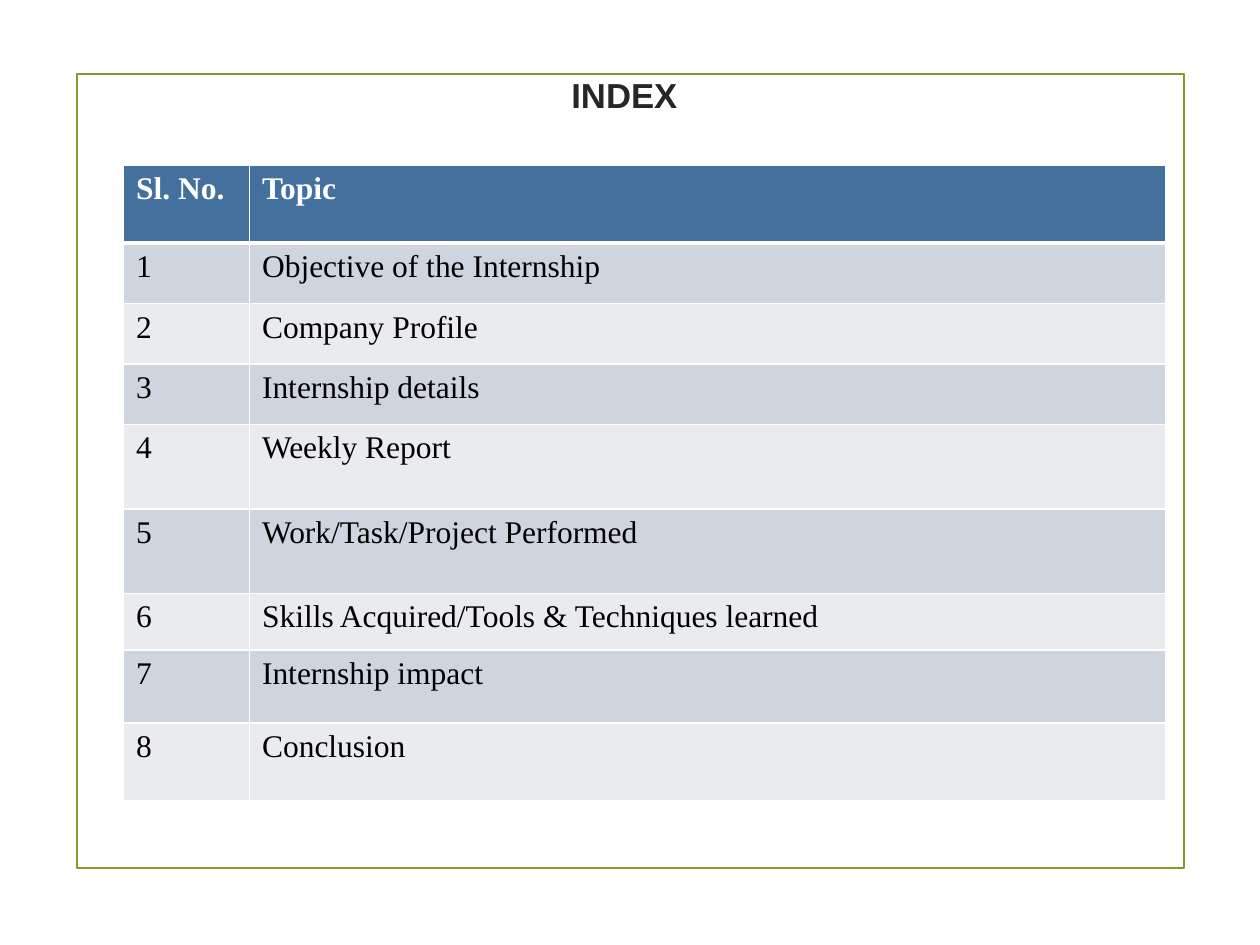
"""Build the index slide of an internship report."""
import dataclasses
import typing

import lxml.etree
import pptx
import pptx.dml.color
import pptx.enum.shapes
import pptx.enum.text
import pptx.oxml.ns
import pptx.util

WIDTH = pptx.util.Inches(10)
HEIGHT = pptx.util.Inches(7.5)


@dataclasses.dataclass(frozen=True)
class Theme:
    """Colours, fonts and sizes of the slide."""
    frame: str = "83992A"
    title: str = "262626"
    header: str = "44709D"
    header_text: str = "FFFFFF"
    body_text: str = "000000"
    border: str = "FFFFFF"
    bands: tuple[str, str] = ("CFD5DF", "E9EBEF")
    title_font: str = "Arial"
    table_font: str = "Times New Roman"
    title_size: float = 19.8
    table_size: float = 18
    frame_width: float = 1.25
    border_width: float = 1
    header_rule: float = 3


@dataclasses.dataclass(frozen=True)
class Box:
    """A rectangle given in shares of the slide's width and height."""
    left: float
    top: float
    width: float
    height: float

    def lengths(self) -> tuple[int, int, int, int]:
        """Return left, top, width and height in EMU."""
        return (round(self.left * WIDTH), round(self.top * HEIGHT),
                round(self.width * WIDTH), round(self.height * HEIGHT))


@dataclasses.dataclass(frozen=True)
class Entry:
    """A table row: its two texts and its height in inches."""
    number: str
    topic: str
    height: float


THEME = Theme()
FRAME = Box(0.061, 0.59 / 7.5, 0.879, 0.84)
TITLE = Box(0.098, 0.04, 0.795, 0.85 / 7.5)
TABLE = Box(0.098, 1.31 / 7.5, 0.827, 5.06 / 7.5)
COLUMNS = (1, 7.27)
ENTRIES = (
    Entry("Sl. No.", "Topic", 0.62),
    Entry("1", "Objective of the Internship", 0.48),
    Entry("2", "Company Profile", 0.48),
    Entry("3", "Internship details", 0.48),
    Entry("4", "Weekly Report", 0.67),
    Entry("5", "Work/Task/Project Performed", 0.67),
    Entry("6", "Skills Acquired/Tools & Techniques learned", 0.45),
    Entry("7", "Internship impact", 0.58),
    Entry("8", "Conclusion", 0.62),
)


def rgb(color: str) -> pptx.dml.color.RGBColor:
    """Turn a hexadecimal colour into an RGBColor."""
    return pptx.dml.color.RGBColor.from_string(color)


def write_text(text_frame: typing.Any, text: str, *, font: str, size: float,
               color: str, bold: bool = False,
               align: pptx.enum.text.PP_ALIGN = pptx.enum.text.PP_ALIGN.LEFT) -> None:
    """Write one formatted paragraph into a text frame."""
    paragraph = text_frame.paragraphs[0]
    paragraph.alignment = align
    run = paragraph.add_run()
    run.text = text
    run.font.name = font
    run.font.size = pptx.util.Pt(size)
    run.font.color.rgb = rgb(color)
    run.font.bold = bold


def draw_frame(slide: typing.Any, box: Box) -> None:
    """Draw the outlined border of the slide."""
    shape = slide.shapes.add_shape(
        pptx.enum.shapes.MSO_SHAPE.RECTANGLE, *box.lengths())
    shape.shadow.inherit = False
    shape.fill.background()
    shape.line.color.rgb = rgb(THEME.frame)
    shape.line.width = pptx.util.Pt(THEME.frame_width)


def draw_title(slide: typing.Any, text: str, box: Box) -> None:
    """Place and format the title placeholder."""
    title = slide.shapes.title
    title.left, title.top, title.width, title.height = box.lengths()
    text_frame = title.text_frame
    text_frame.vertical_anchor = pptx.enum.text.MSO_ANCHOR.MIDDLE
    text_frame.margin_top = pptx.util.Inches(0.1)
    text_frame.margin_bottom = pptx.util.Inches(0.04)
    write_text(text_frame, text, font=THEME.title_font, size=THEME.title_size,
               color=THEME.title, bold=True, align=pptx.enum.text.PP_ALIGN.CENTER)


def set_borders(cell: typing.Any, top: float, bottom: float) -> None:
    """Give a cell its four borders, with top and bottom widths in points."""
    properties = cell._tc.get_or_add_tcPr()
    qn = pptx.oxml.ns.qn
    widths = {"L": THEME.border_width, "R": THEME.border_width,
              "T": top, "B": bottom}
    for side, width in widths.items():
        line = lxml.etree.SubElement(
            properties, qn(f"a:ln{side}"), w=str(pptx.util.Pt(width)))
        fill = lxml.etree.SubElement(line, qn("a:solidFill"))
        lxml.etree.SubElement(fill, qn("a:srgbClr"), val=THEME.border)


def draw_table(slide: typing.Any, entries: tuple[Entry, ...], box: Box) -> None:
    """Draw the table with its header and banded rows."""
    table = slide.shapes.add_table(
        len(entries), len(COLUMNS), *box.lengths()).table
    for column, width in zip(table.columns, COLUMNS):
        column.width = pptx.util.Inches(width)
    for index, entry in enumerate(entries):
        header = index == 0
        table.rows[index].height = pptx.util.Inches(entry.height)
        fill = THEME.header if header else THEME.bands[(index - 1) % 2]
        color = THEME.header_text if header else THEME.body_text
        top = THEME.header_rule if index == 1 else THEME.border_width
        bottom = THEME.header_rule if header else THEME.border_width
        for cell, text in zip(table.rows[index].cells, (entry.number, entry.topic)):
            set_borders(cell, top, bottom)
            cell.fill.solid()
            cell.fill.fore_color.rgb = rgb(fill)
            write_text(cell.text_frame, text, font=THEME.table_font,
                       size=THEME.table_size, color=color, bold=header)


def main() -> None:
    """Build and save the presentation."""
    presentation = pptx.Presentation()
    presentation.slide_width, presentation.slide_height = WIDTH, HEIGHT
    slide = presentation.slides.add_slide(presentation.slide_layouts[5])
    draw_frame(slide, FRAME)
    draw_title(slide, "INDEX", TITLE)
    draw_table(slide, ENTRIES, TABLE)
    presentation.save("out.pptx")


if __name__ == "__main__":
    main()
